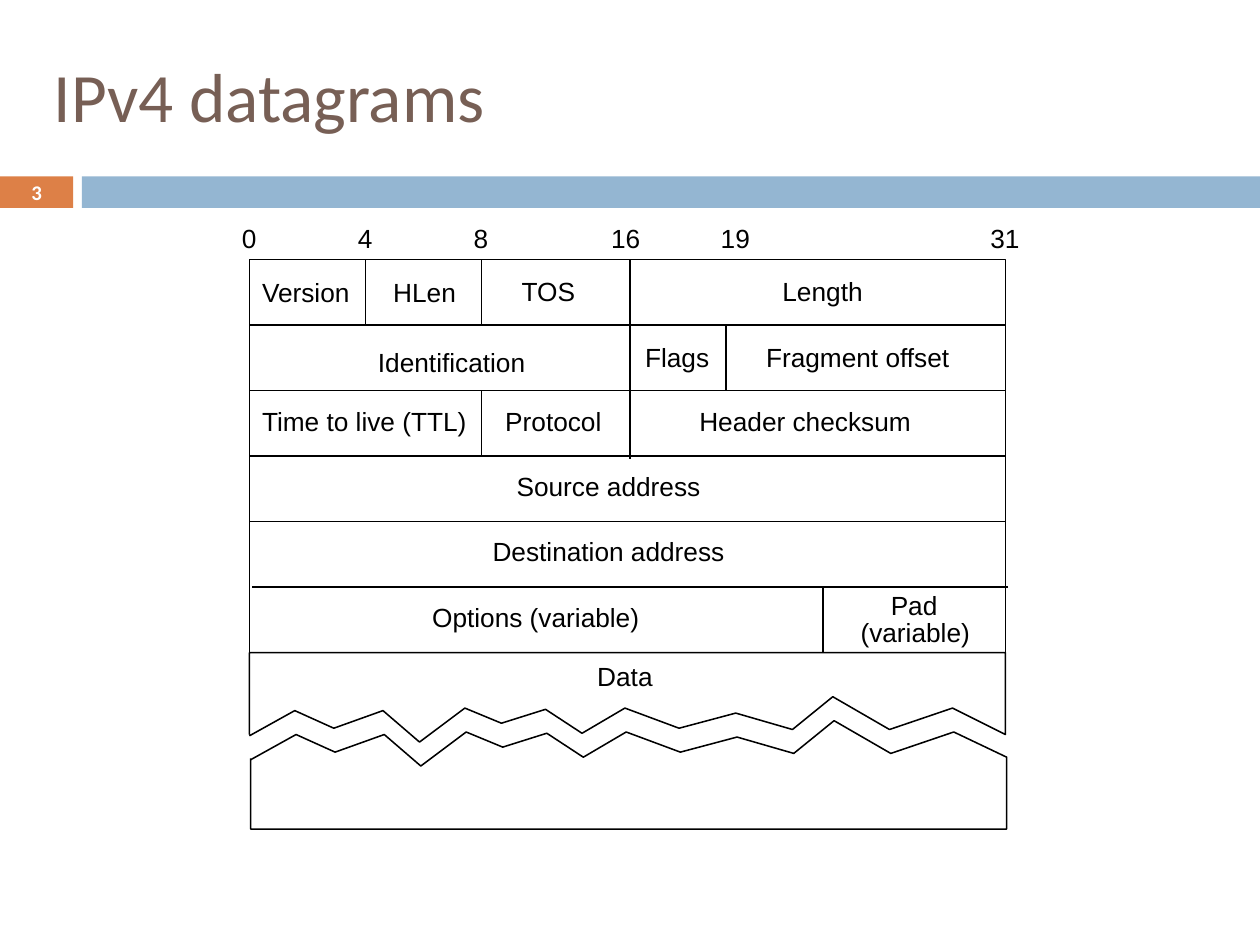
from dataclasses import dataclass

from lxml import etree
from pptx import Presentation
from pptx.dml.color import RGBColor
from pptx.enum.shapes import MSO_CONNECTOR, MSO_SHAPE
from pptx.enum.text import MSO_ANCHOR, MSO_AUTO_SIZE, PP_ALIGN
from pptx.oxml.ns import qn
from pptx.util import Inches, Pt

RECTANGLE = MSO_SHAPE.RECTANGLE
STRAIGHT = MSO_CONNECTOR.STRAIGHT
LEFT, CENTER = PP_ALIGN.LEFT, PP_ALIGN.CENTER
MIDDLE, TOP = MSO_ANCHOR.MIDDLE, MSO_ANCHOR.TOP
GROW, FIXED = MSO_AUTO_SIZE.SHAPE_TO_FIT_TEXT, MSO_AUTO_SIZE.NONE

COLORS = {"title": "775F55", "accent": "DD8047", "band": "94B6D2",
          "ink": "000000", "paper": "FFFFFF"}
LINE_WIDTH = 0.88

# Grid: header rows of equal height, columns named by their first bit
GRID_TOP, ROW_HEIGHT, TEXT_OFFSET = 2.06, 0.52, 0.12
COLUMNS = {0: 1.98, 4: 2.9, 8: 3.82, 16: 5.0, 19: 5.76, 24: 6.53, 31: 7.98}
RULER_ROW = -0.8

# Torn edge of the data field, from right to left
TORN_EDGE = [(7.56, 5.62), (7.06, 5.79), (6.61, 5.53), (6.29, 5.79), (5.84, 5.66),
             (5.39, 5.78), (4.96, 5.62), (4.62, 5.82), (4.33, 5.63), (3.98, 5.74),
             (3.69, 5.62), (3.33, 5.89), (3.04, 5.64), (2.65, 5.78), (2.34, 5.64)]
TEAR_SHIFT = (0.01, 0.19)


@dataclass
class Label:
    text: str
    row: float
    left: float
    width: float
    align: int = LEFT
    wrap: bool = False


@dataclass
class Divider:
    column: int
    first_row: int
    last_row: float


LABELS = [
    Label("Version", 0.03, 2.08, 0.72),
    Label("HLen", 0.03, 3.12, 0.52),
    Label("TOS", 0.01, 4.14, 0.45),
    Label("Length", 0.01, 6.21, 0.66),
    Label("Identification", 1.1, 3.0, 1.43, wrap=True),
    Label("Flags", 1.02, 5.12, 0.53),
    Label("Fragment offset", 1.02, 6.08, 1.58, wrap=True),
    Label("Time to live (TTL)", 2, 2.08, 1.67, wrap=True),
    Label("Protocol", 2, 4.01, 0.79),
    Label("Header checksum", 2, 5.55, 1.78, wrap=True),
    Label("Source address", 2.98, 2.83, 4, CENTER, True),
    Label("Destination address", 3.98, 2.83, 4, CENTER, True),
    Label("Options (variable)", 4.98, 3.43, 1.67),
    Label("Pad", 4.8, 7.07, 0.4),
    Label("(variable)", 5.21, 6.83, 0.89),
    Label("Data", 5.88, 4.74, 0.46),
    Label("0", RULER_ROW, 1.92, 0.13),
    Label("4", RULER_ROW, 2.84, 0.13),
    Label("8", RULER_ROW, 3.76, 0.13),
    Label("16", RULER_ROW, 4.85, 0.26),
    Label("19", RULER_ROW, 5.72, 0.26),
    Label("31", RULER_ROW, 7.86, 0.26),
]
DIVIDERS = [Divider(16, 0, 3.04), Divider(8, 0, 1), Divider(19, 1, 2),
            Divider(24, 5, 6), Divider(8, 2, 3), Divider(4, 0, 1)]


def color(name: str) -> RGBColor:
    return RGBColor.from_string(COLORS[name])


def row_top(row: float) -> float:
    return GRID_TOP + ROW_HEIGHT * row


def set_values(target, values: dict) -> None:
    for name, value in values.items():
        setattr(target, name, value)


def add_text(slide, text: str, box: tuple, font: dict, ink: str, frame: dict,
             align: int = LEFT) -> None:
    shape = slide.shapes.add_textbox(*(Inches(length) for length in box))
    set_values(shape.text_frame, frame)
    paragraph = shape.text_frame.paragraphs[0]
    paragraph.alignment = align
    run = paragraph.add_run()
    run.text = text
    set_values(run.font, font)
    run.font.color.rgb = color(ink)


def add_label(slide, label: Label) -> None:
    box = (label.left, row_top(label.row) + TEXT_OFFSET, label.width, 0.25)
    frame = dict.fromkeys(
        ("margin_left", "margin_top", "margin_right", "margin_bottom"), 0)
    frame.update(word_wrap=label.wrap, auto_size=GROW, vertical_anchor=TOP)
    add_text(slide, label.text, box, {"name": "Arial", "size": Pt(15)}, "ink",
             frame, label.align)


def add_block(slide, box: tuple, fill: str) -> None:
    shape = slide.shapes.add_shape(RECTANGLE, *(Inches(length) for length in box))
    shape.shadow.inherit = False
    shape.fill.solid()
    shape.fill.fore_color.rgb = color(fill)
    shape.line.fill.background()


def style_line(shape) -> None:
    shape.line.color.rgb = color("ink")
    shape.line.width = Pt(LINE_WIDTH)


def add_line(slide, x1: float, y1: float, x2: float, y2: float) -> None:
    connector = slide.shapes.add_connector(
        STRAIGHT, Inches(x1), Inches(y1), Inches(x2), Inches(y2))
    style_line(connector)
    etree.SubElement(connector._element.spPr, qn("a:effectLst"))


def add_outline(slide, points: list) -> None:
    corners = [(Inches(x), Inches(y)) for x, y in points]
    builder = slide.shapes.build_freeform(*corners[0])
    builder.add_line_segments(corners[1:], close=False)
    shape = builder.convert_to_shape()
    shape.shadow.inherit = False
    shape.fill.background()
    style_line(shape)


def main() -> None:
    presentation = Presentation()
    presentation.slide_width, presentation.slide_height = Inches(10), Inches(7.5)
    slide = presentation.slides.add_slide(presentation.slide_layouts[6])

    # Title, band and slide number
    add_block(slide, (0, 1.4, 0.58, 0.25), "accent")
    add_block(slide, (0.65, 1.4, 9.35, 0.25), "band")
    frame = {"word_wrap": True, "auto_size": FIXED, "vertical_anchor": MIDDLE}
    add_text(slide, "IPv4 datagrams", (0.33, 0.42, 9.17, 0.67),
             {"name": "Calibri", "size": Pt(39.6)}, "title", frame)
    add_text(slide, "3", (0, 1.39, 0.58, 0.27),
             {"name": "Calibri", "size": Pt(11.9), "bold": True}, "paper",
             frame, CENTER)

    # Header frame, row lines and field dividers
    left, right = COLUMNS[0], COLUMNS[31]
    add_outline(slide, [(right, 5.66), (right, GRID_TOP),
                        (left, GRID_TOP), (left, 5.67)])
    for row in range(1, 6):
        shift = 0.02 if row == 5 else 0
        add_line(slide, left + shift, row_top(row), right + shift, row_top(row))
    for divider in DIVIDERS:
        x = COLUMNS[divider.column]
        add_line(slide, x, row_top(divider.first_row), x, row_top(divider.last_row))

    # Data field, torn in two
    data_top = row_top(6)
    add_outline(slide, [(left, 5.83), (left, data_top), (right, data_top),
                        (right, 5.83), *TORN_EDGE, (left, 5.84)])
    dx, dy = TEAR_SHIFT
    lower_edge = [(x + dx, y + dy) for x, y in TORN_EDGE]
    add_outline(slide, [(left + dx, 6.02), (left + dx, 6.58), (right + dx, 6.58),
                        (right + dx, 6.01), *lower_edge, (left + dx, 6.03)])

    # Field names and bit numbers
    for label in LABELS:
        add_label(slide, label)

    presentation.save("out.pptx")


if __name__ == "__main__":
    main()
